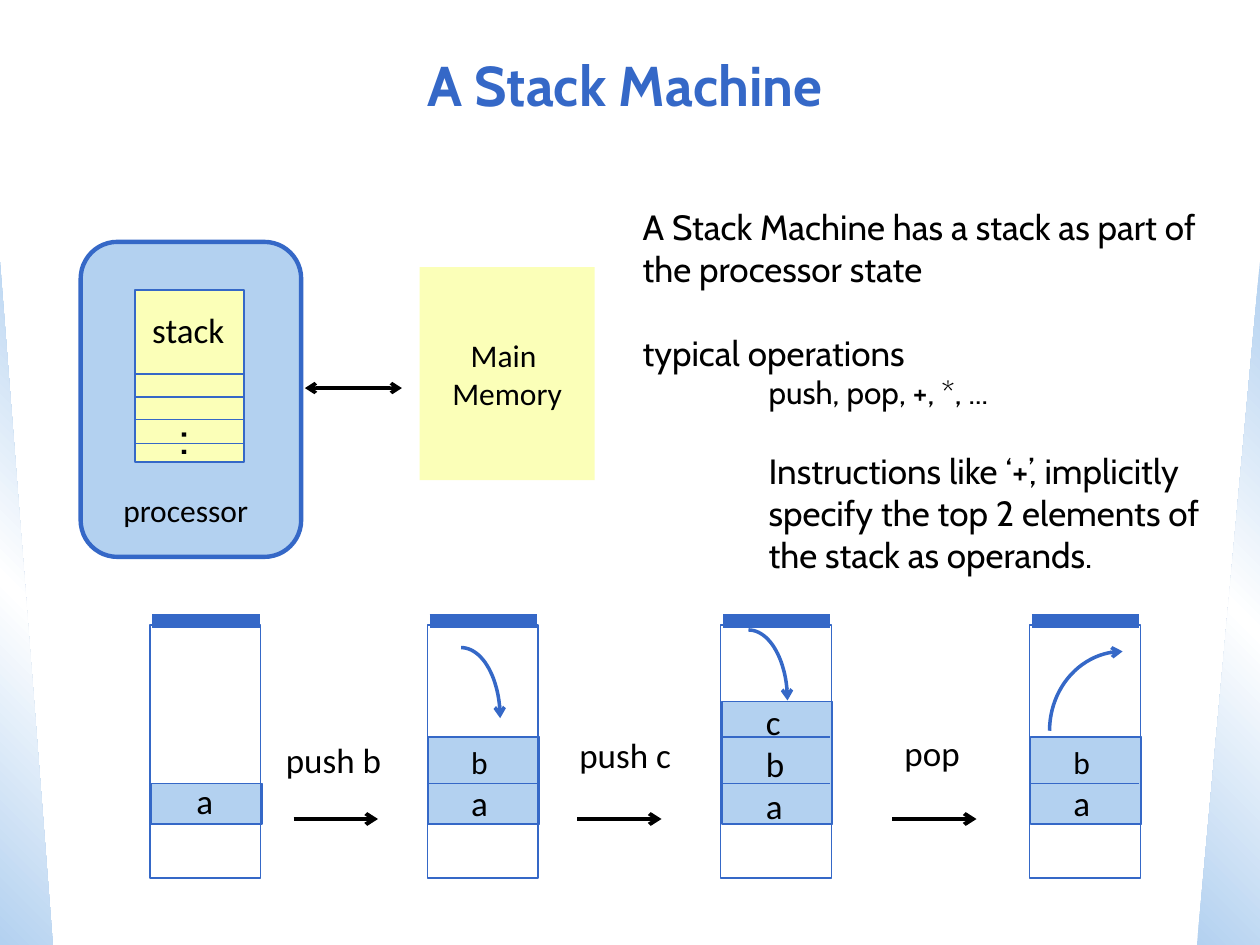
from copy import deepcopy
from dataclasses import dataclass
from math import cos, pi, sin

from lxml.etree import SubElement
from pptx import Presentation
from pptx.dml.color import RGBColor
from pptx.enum.shapes import MSO_CONNECTOR as Connector, MSO_SHAPE as Shape
from pptx.enum.text import MSO_ANCHOR as Anchor, MSO_AUTO_SIZE as AutoSize, PP_ALIGN as Align
from pptx.oxml.ns import qn
from pptx.util import Pt

PX = 9144


@dataclass(frozen=True)
class Theme:
    blue: str = "3568C7"
    pale: str = "B3D1F0"
    yellow: str = "FBFFB8"
    white: str = "FFFFFF"
    black: str = "000000"
    heading: str = "Cabin"
    label: str = "Calibri"
    title: int = 32
    dots: int = 28
    large: int = 20
    small: int = 18


THEME = Theme()


def rgb(color):
    return RGBColor.from_string(color)


def emu(*lengths):
    return [round(length * PX) for length in lengths]


class Sketch:
    def __init__(self, slide, theme):
        self.slide, self.theme = slide, theme
        self.shapes = slide.shapes

    def add_text(self, paragraph, text, size, font, bold=False, color=None):
        run = paragraph.add_run()
        run.text = text
        run.font.size, run.font.name, run.font.bold = Pt(size), font, bold
        run.font.color.rgb = rgb(color or self.theme.black)

    def stroke(self, line, color, width, head=False, tail=False):
        line.color.rgb = rgb(color)
        line.width = Pt(width)
        for end, shown in (("a:headEnd", head), ("a:tailEnd", tail)):
            if shown:
                SubElement(line._get_or_add_ln(), qn(end), type="arrow")

    def place(self, placeholder, box):
        placeholder.left, placeholder.top, placeholder.width, placeholder.height = emu(*box)
        frame = placeholder.text_frame
        frame.auto_size = AutoSize.NONE
        return frame

    def title(self, text, box):
        frame = self.place(self.slide.shapes.title, box)
        frame.vertical_anchor = Anchor.MIDDLE
        heading = frame.paragraphs[0]
        heading.alignment = Align.CENTER
        self.add_text(heading, text, self.theme.title, self.theme.heading, True, self.theme.blue)

    def body(self, items, box):
        frame = self.place(self.slide.placeholders[1], box)
        for index, (text, size, indent, gap) in enumerate(items):
            item = frame.add_paragraph() if index else frame.paragraphs[0]
            item.space_before = Pt(gap)
            properties = item._p.get_or_add_pPr()
            properties.set("marL", str(indent * PX))
            properties.set("indent", "0")
            SubElement(properties, qn("a:buNone"))
            self.add_text(item, text, size, self.theme.heading)

    def box(self, bounds, fill=None, line=None, width=0.75, kind=Shape.RECTANGLE):
        shape = self.shapes.add_shape(kind, *emu(*bounds))
        shape.shadow.inherit = False
        if fill:
            shape.fill.solid()
            shape.fill.fore_color.rgb = rgb(fill)
        else:
            shape.fill.background()
        if line:
            self.stroke(shape.line, line, width)
        else:
            shape.line.fill.background()
        return shape

    def wedge(self, bounds, angle, mirrored=False):
        shape = self.box(bounds, kind=Shape.RIGHT_TRIANGLE)
        shape.fill.gradient()
        shape.fill.gradient_angle = angle
        ends = shape.fill.gradient_stops
        for stop in ends:
            stop.color.rgb = rgb(self.theme.pale)
        ends[0].position, ends[1].position = 0, 1
        first = shape._element.spPr.find(".//" + qn("a:gs"))
        first.addnext(deepcopy(first))
        middle = shape.fill.gradient_stops[1]
        middle.position = 0.5
        middle.color.rgb = rgb(self.theme.white)
        if mirrored:
            shape._element.spPr.find(qn("a:xfrm")).set("flipH", "1")

    def lines(self, frame, rows, font, align=Align.LEFT):
        frame.word_wrap = False
        for index, (text, size) in enumerate(rows):
            row = frame.add_paragraph() if index else frame.paragraphs[0]
            row.alignment = align
            self.add_text(row, text, size, font)

    def label(self, bounds, *rows, font=None):
        frame = self.shapes.add_textbox(*emu(*bounds)).text_frame
        self.lines(frame, rows, font or self.theme.label)
        frame.auto_size = AutoSize.SHAPE_TO_FIT_TEXT

    def rule(self, left, right, y, color, width, head=False, tail=False):
        line = self.shapes.add_connector(Connector.STRAIGHT, *emu(left, y, right, y))
        self.stroke(line.line, color, width, head, tail)
        SubElement(line._element.spPr, qn("a:effectLst"))

    def curve(self, left, top, width, height, rising=False):
        steps = 24
        angles = [pi / 2 * step / steps for step in range(steps + 1)]
        if rising:
            points = [(left + width * (1 - cos(a)), top + height * (1 - sin(a))) for a in angles]
        else:
            points = [(left + width * sin(a), top + height * (1 - cos(a))) for a in angles]
        (x, y), *rest = [tuple(emu(*point)) for point in points]
        builder = self.shapes.build_freeform(x, y)
        builder.add_line_segments(rest, close=False)
        arc = builder.convert_to_shape()
        arc.shadow.inherit = False
        arc.fill.background()
        self.stroke(arc.line, self.theme.blue, 2, tail=True)

    def stack(self, left, levels, rows, text_box, curve=None):
        self.shapes = self.slide.shapes.add_group_shape().shapes
        floor, blue = 654, self.theme.blue
        self.box((left + 1, levels[0], 88, floor - levels[0]), self.theme.pale, blue)
        self.label(text_box, *rows)
        self.box((left, 496, 88, 201), line=blue)
        for level in (*levels, floor):
            self.rule(left + 1, left + 87, level, blue, 0.75)
        self.rule(left + 2, left + 87, 493, blue, 8)
        if curve:
            self.curve(*curve)
        self.shapes = self.slide.shapes


def main():
    deck = Presentation()
    deck.slide_width, deck.slide_height = emu(1000, 750)
    t = THEME
    sketch = Sketch(deck.slides.add_slide(deck.slide_layouts[1]), t)

    sketch.wedge((0, 208, 42, 542), 45)
    sketch.wedge((950, 208, 50, 542), 315, mirrored=True)
    sketch.title("A Stack Machine", (25, 25, 942, 83))
    sketch.body([
        ("A Stack Machine has a stack as part of the processor state", t.large, 0, 0),
        ("typical operations", t.large, 0, 24),
        ("push, pop, +, *, ...", t.small, 100, 0),
        ("Instructions like ‘+’, implicitly", t.large, 100, 22),
        ("specify the top 2 elements of the stack as operands.", t.large, 100, 0),
    ], (500, 158, 471, 303))

    sketch.box((64, 192, 175, 250), t.pale, t.blue, 2.5, Shape.ROUNDED_RECTANGLE)
    memory = sketch.box((333, 212, 139, 169), t.yellow).text_frame
    memory.vertical_anchor = Anchor.MIDDLE
    sketch.lines(memory, [("Main ", t.small), ("Memory", t.small)], t.label, Align.CENTER)
    sketch.box((107, 230, 87, 137), t.yellow, t.blue, 1)
    for y in (297, 315, 333, 352):
        sketch.rule(108, 193, y, t.blue, 1)
    sketch.label((133, 317, 31, 57), (":", t.dots), font=t.heading)
    sketch.rule(242, 319, 308, t.black, 2, head=True, tail=True)
    sketch.label((111, 240, 80, 43), ("stack", t.large))
    sketch.label((88, 385, 121, 40), ("processor", t.small))

    a, b, c = [(name, t.large) for name in "abc"]
    small_b = ("b", t.small)
    sketch.stack(119, [622], [a], (146, 614, 34, 43))
    sketch.stack(339, [585, 622], [small_b, a], (364, 585, 34, 73), (366, 514, 31, 56))
    sketch.stack(572, [557, 585, 622], [c, b, a], (598, 551, 36, 111), (594, 500, 31, 56))
    sketch.stack(817, [585, 622], [small_b, a], (842, 585, 34, 73), (833, 517, 58, 63, True))

    for operation, left, top, width, start in (
        ("push b", 217, 581, 97, 233),
        ("push c", 450, 577, 94, 458),
        ("pop", 708, 576, 67, 708),
    ):
        sketch.label((left, top, width, 44), (operation, t.large))
        sketch.rule(start, start + 67, 650, t.black, 2.25, tail=True)

    deck.save("out.pptx")


if __name__ == "__main__":
    main()
